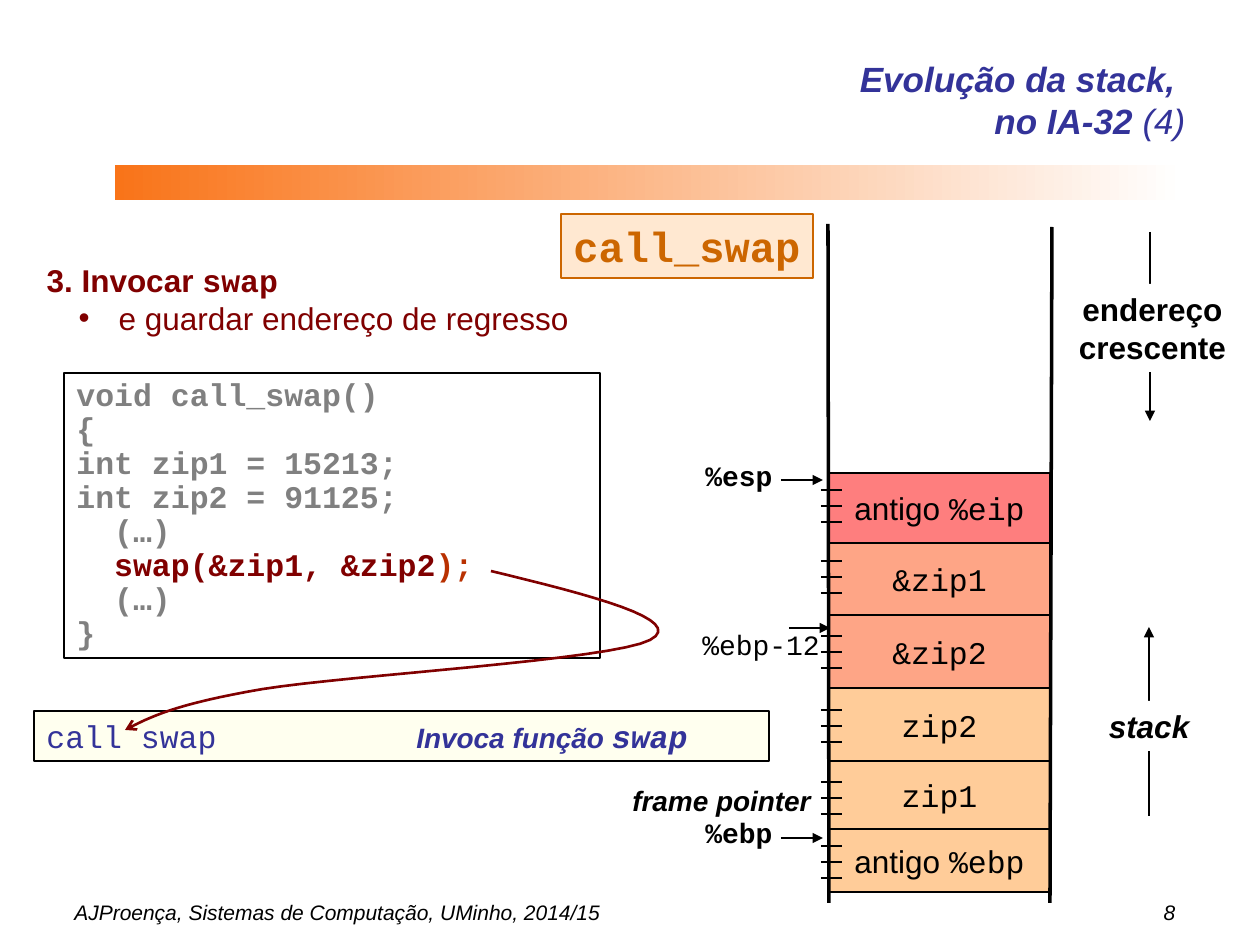
from dataclasses import dataclass

from lxml import etree
from pptx import Presentation
from pptx.dml.color import RGBColor
from pptx.enum.shapes import MSO_CONNECTOR, MSO_SHAPE
from pptx.enum.text import MSO_ANCHOR, MSO_AUTO_SIZE, PP_ALIGN
from pptx.oxml.ns import qn
from pptx.util import Pt

RECT, STRAIGHT = MSO_SHAPE.RECTANGLE, MSO_CONNECTOR.STRAIGHT
LEFT, CENTER, RIGHT = PP_ALIGN.LEFT, PP_ALIGN.CENTER, PP_ALIGN.RIGHT
TOP, MIDDLE = MSO_ANCHOR.TOP, MSO_ANCHOR.MIDDLE
NO_AUTOFIT = MSO_AUTO_SIZE.NONE
SCALE = 914400 / 126


@dataclass(frozen=True)
class Theme:
    sans: str = "Arial"
    mono: str = "Courier New"
    black: str = "000000"
    white: str = "FFFFFF"
    navy: str = "333399"
    maroon: str = "800000"
    gray: str = "808080"
    rust: str = "B93101"
    orange: str = "F97419"
    brown: str = "CC6600"
    cream: str = "FFE8D1"
    ivory: str = "FFFFEF"
    saved: str = "FFCC99"
    argument: str = "FEA586"
    returned: str = "FE7E7E"
    title: int = 20
    heading: int = 24
    body: int = 18
    label: int = 16
    footer: int = 12


T = Theme()
MONO = dict(font=T.mono)


def px(n):
    return round(n * SCALE)


def rgb(value):
    return RGBColor.from_string(value)


def add_xml(parent, tag, **attrs):
    return etree.SubElement(parent, qn(tag), attrs)


def add_run(p, text, size=T.body, font=T.sans, color=T.black, bold=False, italic=False):
    for i, line in enumerate(text.split("\n")):
        if i:
            p.add_line_break()
        r = p.add_run()
        r.text = line
        r.font.size, r.font.name = Pt(size), font
        r.font.bold, r.font.italic = bold, italic
        r.font.color.rgb = rgb(color)


def write(tf, paragraphs, align=LEFT, anchor=TOP, wrap=False, spacing=1.0, tab=None, **fmt):
    """Fill tf; a paragraph is a string or a list of (text, format changes)."""
    tf.auto_size = NO_AUTOFIT
    tf.word_wrap, tf.vertical_anchor = wrap, anchor
    for i, runs in enumerate(paragraphs):
        p = tf.add_paragraph() if i else tf.paragraphs[0]
        p.alignment, p.line_spacing, p.space_before = align, spacing, Pt(0)
        if isinstance(runs, str):
            runs = [(runs, {})]
        for text, changes in runs:
            add_run(p, text, **{**fmt, **changes})
        if tab:
            pos, side = tab
            tabs = add_xml(p._p.get_or_add_pPr(), "a:tabLst")
            add_xml(tabs, "a:tab", pos=str(px(pos)), algn=side)


def add_box(s, box, paragraphs=(), fill=None, line=None, weight=1, **fmt):
    sp = s.shapes.add_shape(RECT, *map(px, box))
    sp.shadow.inherit = False
    if fill:
        sp.fill.solid()
        sp.fill.fore_color.rgb = rgb(fill)
    else:
        sp.fill.background()
    if line:
        sp.line.color.rgb = rgb(line)
        sp.line.width = Pt(weight)
    else:
        sp.line.fill.background()
    write(sp.text_frame, paragraphs, **fmt)
    return sp


def add_label(s, box, paragraphs, **fmt):
    write(s.shapes.add_textbox(*map(px, box)).text_frame, paragraphs, **fmt)


def add_line(s, x1, y1, x2, y2, weight=1, head=None):
    c = s.shapes.add_connector(STRAIGHT, px(x1), px(y1), px(x2), px(y2))
    add_xml(c._element.spPr, "a:effectLst")
    style_line(c, T.black, weight, head)


def style_line(sp, color, weight, head=None):
    sp.line.color.rgb = rgb(color)
    sp.line.width = Pt(weight)
    if head:
        add_xml(sp.line._get_or_add_ln(), "a:tailEnd", type=head)


def add_curve(s, start, segments, color, weight, steps=16):
    """Draw joined cubic Bézier segments, ending in an arrow."""
    points, p0 = [], start
    for p1, p2, p3 in segments:
        for t in (i / steps for i in range(1, steps + 1)):
            u = 1 - t
            points.append(tuple(
                u**3 * a + 3 * u * u * t * b + 3 * u * t * t * c + t**3 * d
                for a, b, c, d in zip(p0, p1, p2, p3)))
        p0 = p3
    builder = s.shapes.build_freeform(px(start[0]), px(start[1]))
    builder.add_line_segments([(px(x), px(y)) for x, y in points], close=False)
    sp = builder.convert_to_shape()
    sp.shadow.inherit = False
    sp.fill.background()
    style_line(sp, color, weight, "arrow")


def place(sp, box):
    sp.left, sp.top, sp.width, sp.height = map(px, box)
    return sp.text_frame


def add_title_and_list(s):
    write(place(s.shapes.title, (64, 45, 1134, 110)),
          [[("Evolução da stack, \nno IA-32", {}), (" (4)", dict(bold=False))]],
          align=RIGHT, anchor=MIDDLE, wrap=True,
          size=T.title, color=T.navy, bold=True, italic=True)
    tf = place(s.placeholders[1], (34, 255, 567, 88))
    write(tf, [[("3. Invocar ", {}), ("swap", MONO)],
               [("e guardar endereço de regresso", dict(bold=False))]],
          wrap=True, color=T.maroon, bold=True)
    heading, item = (p._p.get_or_add_pPr() for p in tf.paragraphs)
    heading.set("marL", "0")
    heading.set("indent", "0")
    add_xml(heading, "a:buNone")
    tf.paragraphs[1].level = 1
    item.set("marL", str(px(72)))
    item.set("indent", str(px(-40)))
    add_xml(add_xml(item, "a:buClr"), "a:srgbClr", val=T.maroon)
    add_xml(item, "a:buFont", typeface=T.sans)
    add_xml(item, "a:buChar", char="•")


def add_banner(s):
    fill = add_box(s, (115, 165, 1069, 35)).fill
    fill.gradient()
    fill.gradient_angle = 0
    for stop, color in zip(fill.gradient_stops, (T.orange, T.white)):
        stop.color.rgb = rgb(color)


def add_code(s):
    call = [("  ", {}), ("swap(&zip1, &zip2", dict(color=T.maroon)),
            (");", dict(color=T.rust))]
    code = ["void call_swap()", "{", "int zip1 = 15213;", "int zip2 = 91125;",
            "  (…)", call, "  (…)", "}"]
    add_box(s, (64, 373, 536, 285), code, line=T.black, wrap=True, spacing=0.9,
            font=T.mono, color=T.gray, bold=True)
    strong = dict(font=T.sans, size=T.label, bold=True, italic=True)
    add_box(s, (34, 711, 735, 50),
            [[("call swap\t", {}), ("Invoca função ", strong),
              ("swap", dict(bold=True, italic=True))]],
            fill=T.ivory, line=T.black, wrap=True, tab=(370, "l"),
            font=T.mono, color=T.navy)


def add_stack(s):
    def var(name):
        return [(name, MONO)]

    def old(register):
        return [("antigo ", {}), (register, MONO)]

    # content, fill, height, middle tick
    cells = [(old("%eip"), T.returned, 70, 506), (var("&zip1"), T.argument, 72, 577),
             (var("&zip2"), T.argument, 73, 652), (var("zip2"), T.saved, 73, 726),
             (var("zip1"), T.saved, 68, 798), (old("%ebp"), T.saved, 63, 862)]
    top = 473
    for runs, fill, height, tick in cells:
        add_box(s, (829, top, 221, height), [runs], fill=fill, line=T.black,
                weight=0.75, align=CENTER, anchor=MIDDLE)
        for y in (tick - 16, tick, tick + 16):
            add_line(s, 821, y, 842, y)
        top += height
    add_line(s, 828, 224, 829, 903, weight=2)
    add_line(s, 1052, 227, 1050, 903, weight=2)
    add_box(s, (561, 214, 252, 64), ["call_swap"], fill=T.cream, line=T.brown,
            font=T.mono, size=T.heading, color=T.brown, bold=True)


def add_pointers(s):
    # label, box, bold, arrow start, arrow end, arrow y
    for name, box, bold, x1, x2, y in (
            ("%esp", (693, 452, 92, 47), True, 781, 823, 480),
            ("%ebp-12", (690, 621, 142, 47), False, 789, 830, 628),
            ("%ebp", (693, 809, 92, 47), True, 781, 823, 838)):
        add_label(s, box, [name], font=T.mono, size=T.label, bold=bold)
        add_line(s, x1, y, x2, y, weight=0.75, head="triangle")
    add_label(s, (620, 777, 203, 47), ["frame pointer"], size=T.label, bold=True, italic=True)


def add_directions(s):
    for x, y1, y2, box, text, italic in (
            (1150, 232, 421, (1067, 284, 171, 88), "endereço\ncrescente", False),
            (1149, 816, 627, (1096, 701, 106, 50), "stack", True)):
        add_line(s, x, y1, x, y2, weight=1.5, head="triangle")
        add_box(s, box, [text], fill=T.white, align=CENTER, bold=True, italic=italic)


def main():
    prs = Presentation()
    prs.slide_width, prs.slide_height = px(1260), px(945)
    s = prs.slides.add_slide(prs.slide_layouts[1])
    add_title_and_list(s)
    add_banner(s)
    add_code(s)
    add_stack(s)
    add_pointers(s)
    add_directions(s)
    add_curve(s, (491, 571), [((590, 595), (688, 620), (650, 640)),
                              ((612, 660), (350, 675), (263, 689)),
                              ((175, 704), (150, 717), (125, 730))], T.maroon, 1.5)
    add_label(s, (62, 893, 1133, 38), ["AJProença, Sistemas de Computação, UMinho, 2014/15\t8"],
              wrap=True, tab=(1101, "r"), size=T.footer, italic=True)
    prs.save("out.pptx")


if __name__ == "__main__":
    main()
